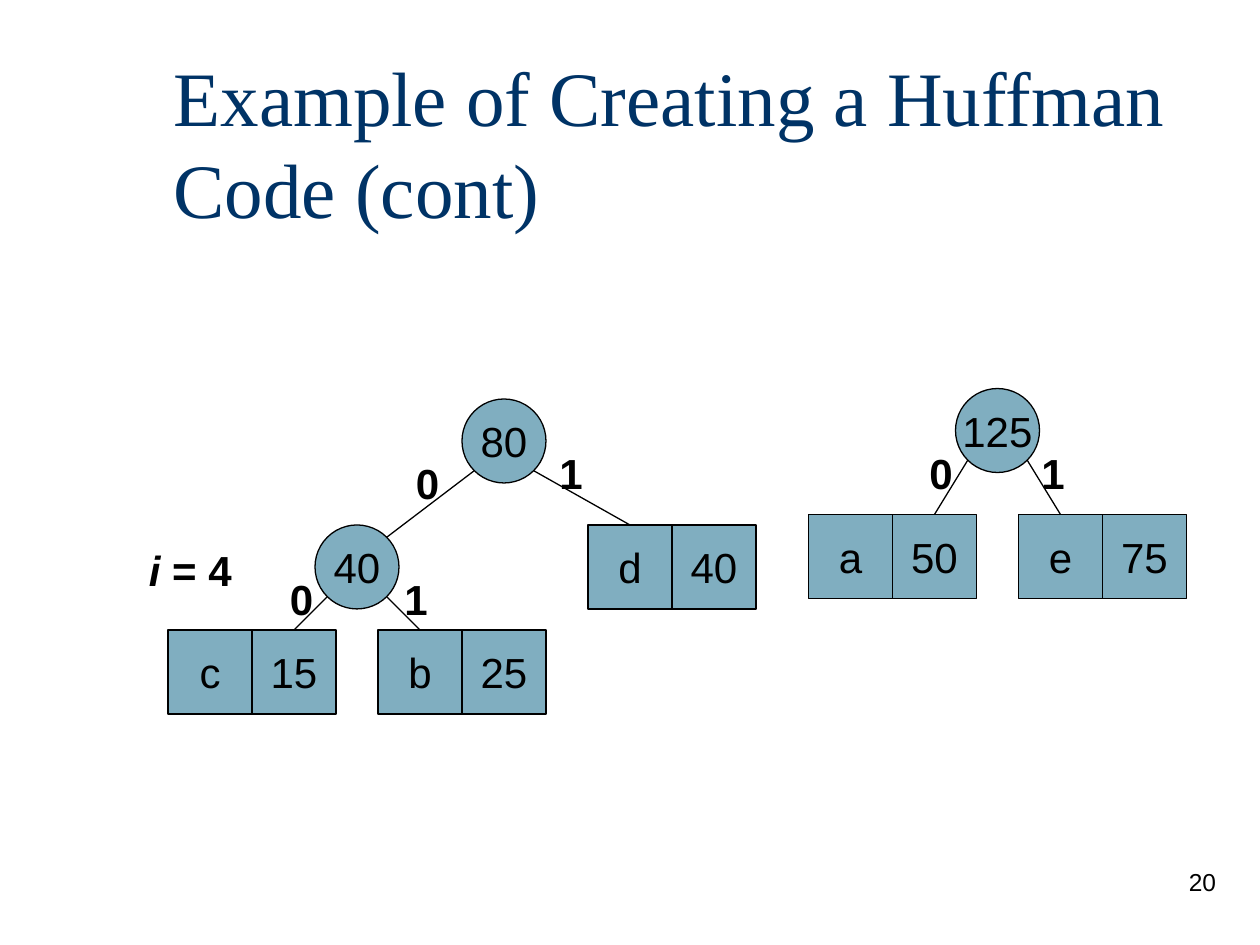
from dataclasses import dataclass
from lxml import etree
from pptx import Presentation, util as u
from pptx.dml.color import RGBColor
from pptx.enum import shapes, text
from pptx.oxml.ns import qn

Pt = u.Pt


@dataclass(frozen=True)
class Theme:
    ink: str = "000000"
    navy: str = "003366"
    fill: str = "80AEC0"
    head: str = "Times New Roman"
    body: str = "Arial"
    large: float = 44
    mid: float = 24
    small: float = 14
    line: float = 0.75


theme = Theme()


def write(shape, words, font=theme.body, size=theme.mid, color=theme.ink,
          bold=False, slant=False, align="LEFT", anchor="TOP", wrap=False):
    frame = shape.text_frame
    frame.word_wrap = wrap
    frame.vertical_anchor = getattr(text.MSO_ANCHOR, anchor)
    para = frame.paragraphs[0]
    para.alignment = getattr(text.PP_ALIGN, align)
    run = para.add_run()
    run.text = words
    run.font.name = font
    run.font.size = Pt(size)
    run.font.bold = bold
    run.font.italic = slant
    run.font.color.rgb = RGBColor.from_string(color)


def block(group, kind, words, left, top):
    shape = group.shapes.add_shape(kind, Pt(left), Pt(top), Pt(cell), Pt(cell))
    shape.shadow.inherit = False
    shape.fill.solid()
    shape.fill.fore_color.rgb = RGBColor.from_string(theme.fill)
    shape.line.color.rgb = RGBColor.from_string(theme.ink)
    shape.line.width = Pt(theme.line)
    write(shape, words, align="CENTER", anchor="MIDDLE")


deck = Presentation()
deck.slide_width, deck.slide_height = Pt(720), Pt(540)
slide = deck.slides.add_slide(deck.slide_layouts[5])

title = slide.shapes.title
title.left, title.top, title.width, title.height = Pt(92), Pt(36), Pt(612), Pt(90)
write(title, "Example of Creating a Huffman Code (cont)", font=theme.head,
      size=theme.large, color=theme.navy, anchor="MIDDLE", wrap=True)

page = slide.shapes.add_textbox(Pt(552), Pt(492), Pt(150), Pt(36))
write(page, "20", size=theme.small, align="RIGHT", wrap=True)

step = slide.shapes.add_textbox(Pt(78), Pt(307.5), Pt(62), Pt(36))
write(step, "i", bold=True, slant=True)
write(step, " = 4", bold=True)

cell = 48
half = cell / 2
reach = 17

trees = [
    {
        "leaves": [("a", "50", 462, 294), ("e", "75", 582, 294)],
        "nodes": [("125", 546, 222)],
        "edges": [(546, 222, -1, 534, 294), (546, 222, 1, 606, 294)],
        "bits": [("0", 524, 252), ("1", 588, 252)],
    },
    {
        "leaves": [("d", "40", 336, 300), ("c", "15", 96, 360), ("b", "25", 216, 360)],
        "nodes": [("40", 180, 300), ("80", 264, 228)],
        "edges": [(180, 300, -1, 168, 360), (180, 300, 1, 240, 360),
                  (264, 228, -1, 221, 307), (264, 228, 1, 360, 300)],
        "bits": [("0", 158.5, 324), ("0", 230.5, 258), ("1", 312.5, 252), ("1", 224, 324)],
    },
]

for tree in trees:
    group = slide.shapes.add_group_shape()
    for name, count, left, top in tree["leaves"]:
        for col, words in enumerate((name, count)):
            block(group, shapes.MSO_SHAPE.RECTANGLE, words, left + col * cell, top)
    for words, left, top in tree["nodes"]:
        block(group, shapes.MSO_SHAPE.OVAL, words, left, top)
    for left, top, side, endx, endy in tree["edges"]:
        edge = group.shapes.add_connector(
            shapes.MSO_CONNECTOR.STRAIGHT, Pt(left + half + side * reach),
            Pt(top + half + reach), Pt(endx), Pt(endy))
        edge.line.color.rgb = RGBColor.from_string(theme.ink)
        edge.line.width = Pt(theme.line)
        etree.SubElement(edge._element.spPr, qn("a:effectLst"))
    for bit, left, top in tree["bits"]:
        label = group.shapes.add_textbox(Pt(left), Pt(top), Pt(27), Pt(36))
        write(label, bit, bold=True)

deck.save("out.pptx")
